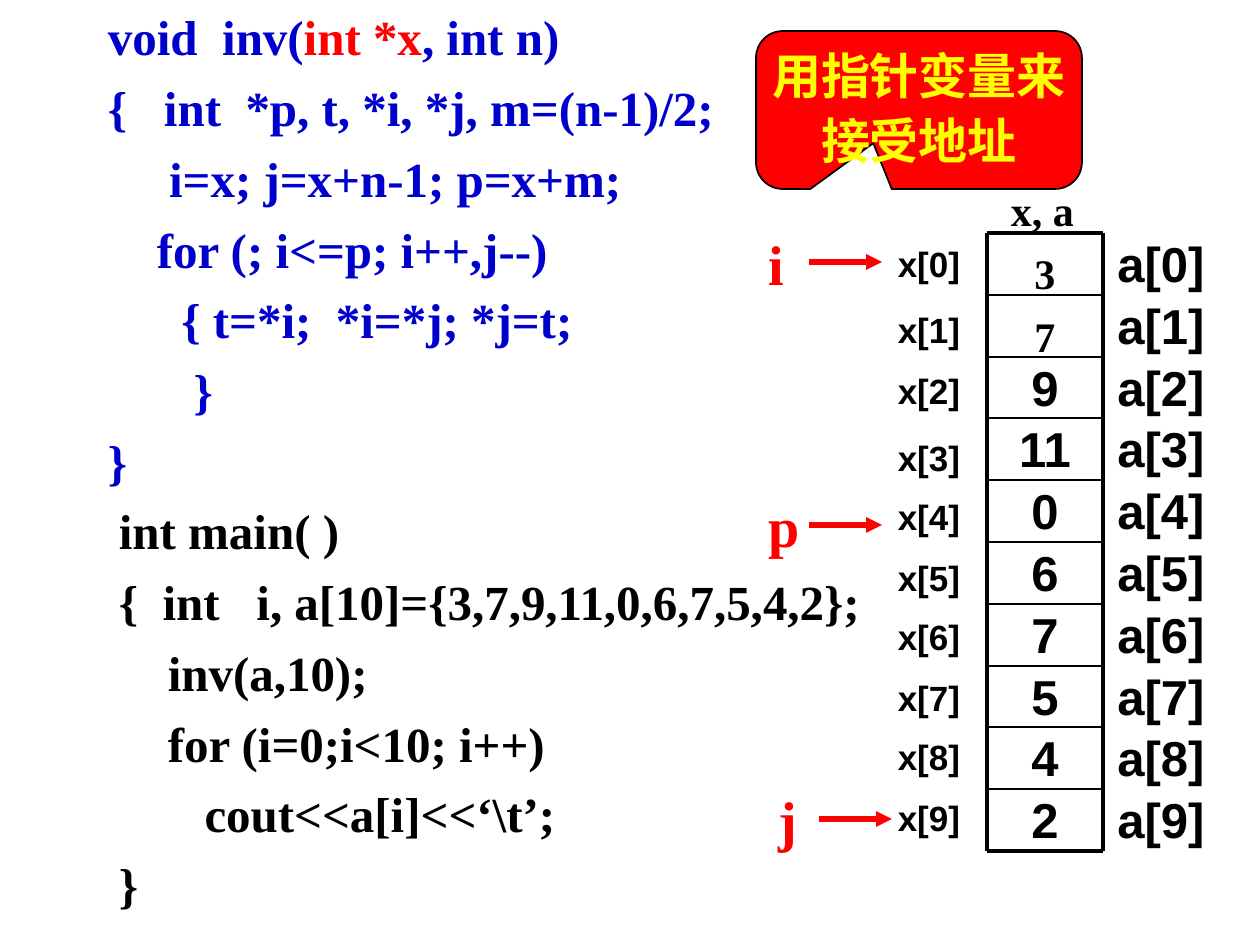
from dataclasses import dataclass
from itertools import accumulate

from lxml.etree import SubElement
from pptx import Presentation
from pptx.dml.color import RGBColor
from pptx.enum.shapes import MSO_CONNECTOR, MSO_SHAPE
from pptx.enum.text import MSO_ANCHOR, MSO_AUTO_SIZE, PP_ALIGN
from pptx.oxml.ns import qn
from pptx.util import Pt

EMU_PER_PX = 914400 / 126


@dataclass(frozen=True)
class Theme:
    ink: str = "000000"
    function: str = "0000CC"
    accent: str = "FF0000"
    callout: str = "FFFF00"
    serif: str = "Times New Roman"
    sans: str = "Arial"
    code: int = 28
    pointer: int = 32
    swapped: int = 24
    index: int = 20
    thin: float = 1
    frame: float = 2.25
    arrow: float = 3


THEME = Theme()
TIGHT = (3, 1, 3, 1)
INDEX_INSETS = (3, 10, 3, 5)
POINTER_INSETS = (13, 6, 13, 6)

INV_CODE = [
    [("void  inv(", THEME.function), ("int *x", THEME.accent), (", int n)", THEME.function)],
    "{   int  *p, t, *i, *j, m=(n-1)/2;",
    "     i=x; j=x+n-1; p=x+m;",
    "    for (; i<=p; i++,j--)",
    "      { t=*i;  *i=*j; *j=t;",
    "       }",
    "}",
]
MAIN_CODE = [
    "int main( )",
    "{  int   i, a[10]={3,7,9,11,0,6,7,5,4,2};",
    "    inv(a,10);",
    "    for (i=0;i<10; i++)",
    r"       cout<<a[i]<<‘\t’;",
    "}",
]
VALUES = [3, 7, 9, 11, 0, 6, 7, 5, 4, 2]
SWAPPED_TOPS = [242, 305]
INDEX_HEIGHTS = [66, 60, 67] + [60] * 7
POINTERS = [("i", 756, 210, 262), ("p", 756, 472, 525), ("j", 766, 766, 819)]

ARRAY_LEFT, ARRAY_TOP, COLUMN_WIDTH, ARRAY_HEIGHT = 987, 233, 116, 618
ARRAY_RIGHT = ARRAY_LEFT + COLUMN_WIDTH
ARRAY_BOTTOM = ARRAY_TOP + ARRAY_HEIGHT
ROW_EDGES = [ARRAY_TOP + round(ARRAY_HEIGHT * row / len(VALUES)) for row in range(len(VALUES) + 1)]


def px(*lengths):
    return [round(length * EMU_PER_PX) for length in lengths]


def fill_text(shape, lines, size, color=THEME.ink, font=THEME.serif, align=PP_ALIGN.LEFT,
              insets=TIGHT, spacing=1.0, gap=0.0, grow=False):
    left, top, right, bottom = px(*insets)
    frame = shape.text_frame
    frame_format = {
        "word_wrap": True,
        "auto_size": MSO_AUTO_SIZE.SHAPE_TO_FIT_TEXT if grow else MSO_AUTO_SIZE.NONE,
        "vertical_anchor": MSO_ANCHOR.TOP,
        "margin_left": left,
        "margin_top": top,
        "margin_right": right,
        "margin_bottom": bottom,
    }
    for name, value in frame_format.items():
        setattr(frame, name, value)
    for number, line in enumerate(lines):
        paragraph = frame.add_paragraph() if number else frame.paragraphs[0]
        paragraph_format = {
            "alignment": align,
            "line_spacing": spacing,
            "space_before": Pt(gap if number else 0),
        }
        for name, value in paragraph_format.items():
            setattr(paragraph, name, value)
        for words, run_color in [(line, color)] if isinstance(line, str) else line:
            run = paragraph.add_run()
            run.text = words
            for name, value in {"name": font, "size": Pt(size), "bold": True}.items():
                setattr(run.font, name, value)
            run.font.color.rgb = RGBColor.from_string(run_color)


def add_text(slide, box, lines, size, **text_format):
    fill_text(slide.shapes.add_textbox(*px(*box)), lines, size, **text_format)


def add_line(slide, ends, width, color=THEME.ink, arrow=False):
    connector = slide.shapes.add_connector(MSO_CONNECTOR.STRAIGHT, *px(*ends))
    connector.line.color.rgb = RGBColor.from_string(color)
    connector.line.width = Pt(width)
    if arrow:
        SubElement(connector.line._get_or_add_ln(), qn("a:tailEnd"), type="triangle")
    SubElement(connector._element.spPr, qn("a:effectLst"))


def add_callout(slide):
    callout = slide.shapes.add_shape(MSO_SHAPE.ROUNDED_RECTANGULAR_CALLOUT, *px(756, 31, 326, 158))
    for position, adjustment in enumerate((-0.14, 0.21, 0.17)):
        callout.adjustments[position] = adjustment
    callout.shadow.inherit = False
    callout.fill.solid()
    callout.fill.fore_color.rgb = RGBColor.from_string(THEME.accent)
    callout.line.color.rgb = RGBColor.from_string(THEME.ink)
    callout.line.width = Pt(THEME.thin)
    fill_text(callout, ["用指针变量来接受地址"], THEME.code, color=THEME.callout,
              align=PP_ALIGN.CENTER, spacing=1.1)


def add_array(slide):
    cell_format = {"font": THEME.sans, "align": PP_ALIGN.CENTER}
    index_tops = accumulate(INDEX_HEIGHTS, initial=ARRAY_TOP)
    rows = zip(VALUES, ROW_EDGES, ROW_EDGES[1:], index_tops, INDEX_HEIGHTS)
    for row, (value, top, bottom, index_top, index_height) in enumerate(rows):
        if row < len(SWAPPED_TOPS):
            add_text(slide, (ARRAY_LEFT, SWAPPED_TOPS[row], COLUMN_WIDTH, 58), [str(value)],
                     THEME.swapped, align=PP_ALIGN.CENTER, spacing=1.1, grow=True)
        else:
            add_text(slide, (ARRAY_LEFT, top, COLUMN_WIDTH, bottom - top), [str(value)],
                     THEME.code, **cell_format)
        add_text(slide, (ARRAY_LEFT - COLUMN_WIDTH, index_top, COLUMN_WIDTH, index_height),
                 [f"x[{row}]"], THEME.index, insets=INDEX_INSETS, **cell_format)
        add_text(slide, (ARRAY_RIGHT, top, COLUMN_WIDTH, bottom - top), [f"a[{row}]"],
                 THEME.code, **cell_format)
    for edge in ROW_EDGES:
        width = THEME.frame if edge in (ARRAY_TOP, ARRAY_BOTTOM) else THEME.thin
        add_line(slide, (ARRAY_LEFT, edge, ARRAY_RIGHT, edge), width)
    for side in (ARRAY_LEFT, ARRAY_RIGHT):
        add_line(slide, (side, ARRAY_TOP, side, ARRAY_BOTTOM), THEME.frame)
    add_text(slide, (1008, 179, COLUMN_WIDTH, 58), ["x, a"], THEME.swapped, spacing=1.1, grow=True)


def add_pointer(slide, label, left, top, arrow_y):
    add_line(slide, (left + 53, arrow_y, left + 126, arrow_y), THEME.arrow, THEME.accent, arrow=True)
    add_text(slide, (left, top, 63, 93), [label], THEME.pointer, color=THEME.accent,
             insets=POINTER_INSETS, spacing=1.2, grow=True)


def main():
    presentation = Presentation()
    presentation.slide_width, presentation.slide_height = px(1260, 945)
    slide = presentation.slides.add_slide(presentation.slide_layouts[6])
    code_format = {"spacing": 1.1, "gap": 3.5, "grow": True}
    add_text(slide, (105, 0, 788, 493), INV_CODE, THEME.code, color=THEME.function, **code_format)
    add_text(slide, (116, 494, 998, 422), MAIN_CODE, THEME.code, **code_format)
    add_callout(slide)
    add_array(slide)
    for pointer in POINTERS:
        add_pointer(slide, *pointer)
    presentation.save("out.pptx")


if __name__ == "__main__":
    main()
